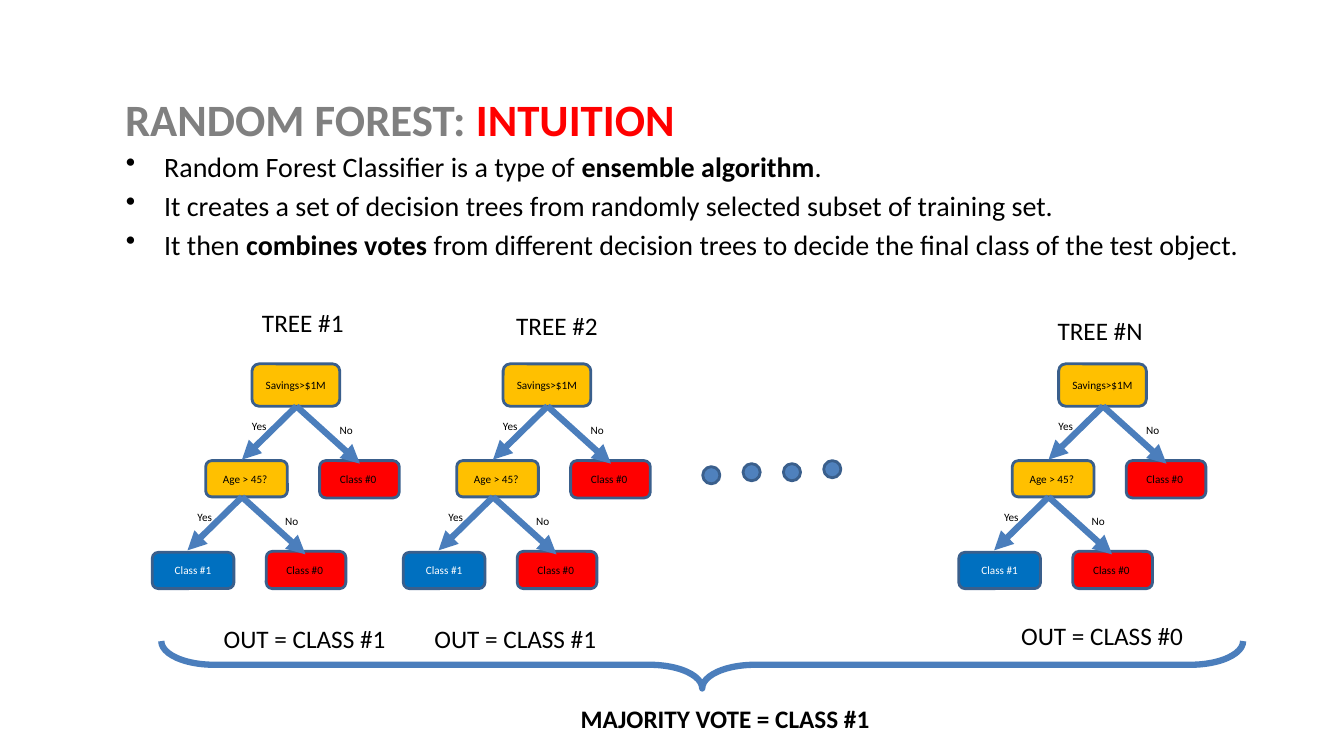
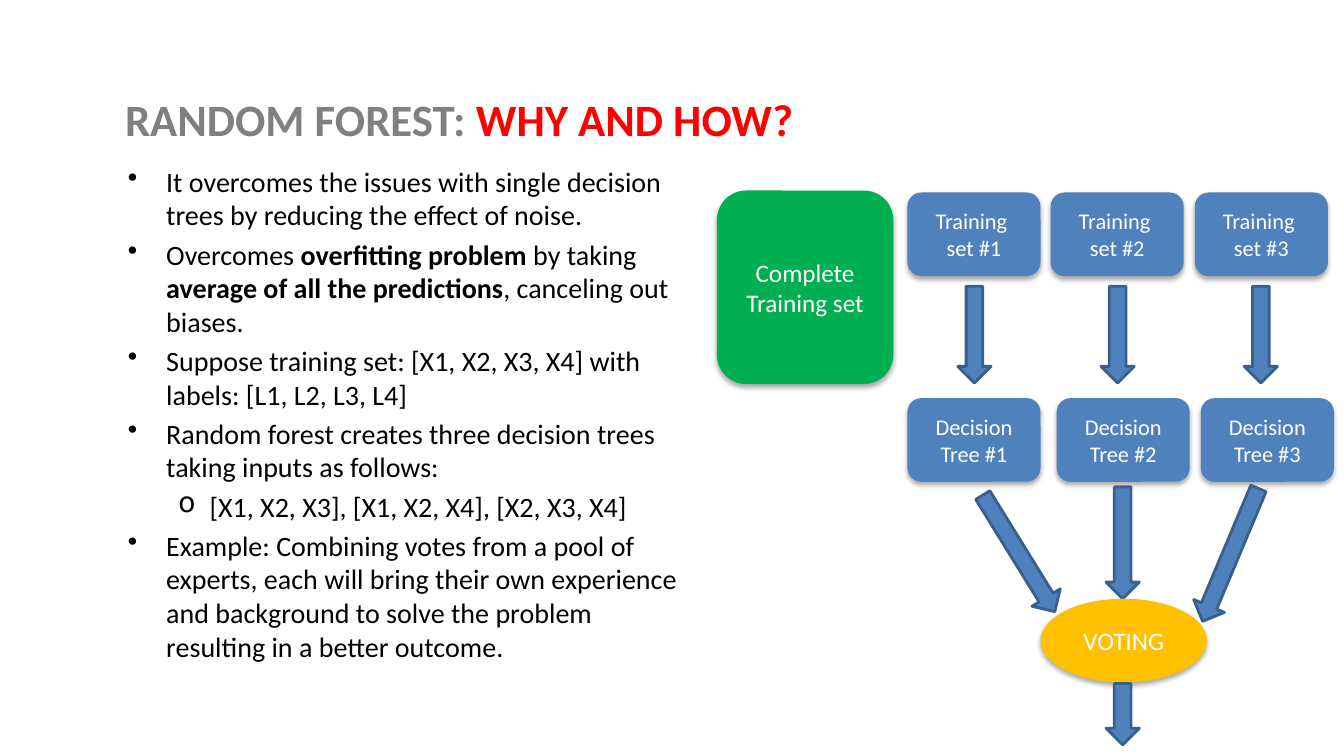
from lxml import etree
from pptx import Presentation
from pptx.dml.color import RGBColor
from pptx.enum.shapes import MSO_CONNECTOR, MSO_SHAPE as SHAPE
from pptx.enum.text import MSO_ANCHOR as ANCHOR, MSO_AUTO_SIZE as FIT, PP_ALIGN as ALIGN
from pptx.oxml.ns import qn
from pptx.util import Inches, Pt

FONT = "Calibri"
BLACK = RGBColor(0x00, 0x00, 0x00)
WHITE = RGBColor(0xFF, 0xFF, 0xFF)
GRAY = RGBColor(0x80, 0x80, 0x80)
RED = RGBColor(0xFF, 0x00, 0x00)
AMBER = RGBColor(0xFF, 0xC0, 0x00)
GREEN = RGBColor(0x00, 0xB0, 0x50)
BLUE = RGBColor(0x4F, 0x81, 0xBD)
LEAF_BLUE = RGBColor(0x00, 0x70, 0xC0)
OUTLINE = RGBColor(0x3A, 0x5F, 0x8C)
BRANCH = RGBColor(0x4B, 0x7E, 0xBC)


def box(left, top, width, height):
    """Convert a rectangle in inches to slide lengths."""
    return Inches(left), Inches(top), Inches(width), Inches(height)


def write(frame, paragraphs, size=18, color=BLACK, bold=False, accent=None,
          align=ALIGN.LEFT, spacing=None, before=None):
    """Fill a text frame; words between asterisks are bold, in the accent colour if given."""
    for number, words in enumerate(paragraphs):
        paragraph = frame.add_paragraph() if number else frame.paragraphs[0]
        paragraph.alignment = align
        paragraph.line_spacing = spacing
        paragraph.space_before = before
        for index, piece in enumerate(words.split("*")):
            if not piece:
                continue
            stressed = index % 2 == 1
            run = paragraph.add_run()
            run.text = piece
            run.font.name = FONT
            run.font.size = Pt(size)
            run.font.bold = bold or stressed
            run.font.color.rgb = accent if stressed and accent else color


def add_label(slide, words, rect, wrap=False, **style):
    """Place a caption that grows with its text."""
    frame = slide.shapes.add_textbox(*box(*rect)).text_frame
    frame.word_wrap = wrap
    frame.auto_size = FIT.SHAPE_TO_FIT_TEXT
    write(frame, [words], **style)


def add_title(slide, topic):
    """Place the shared heading with its red topic."""
    frame = slide.shapes.add_textbox(*box(1.17, 0.66, 8.34, 1.09)).text_frame
    frame.word_wrap = True
    frame.vertical_anchor = ANCHOR.MIDDLE
    frame.margin_left = frame.margin_right = Inches(0.07)
    frame.margin_top = frame.margin_bottom = Inches(0.04)
    write(frame, [f"RANDOM FOREST: *{topic}*"], size=32, color=GRAY, bold=True,
          accent=RED, spacing=0.9)


def add_bullets(slide, rect, points):
    """Place a bulleted list of level and text pairs."""
    frame = slide.shapes.add_textbox(*box(*rect)).text_frame
    frame.word_wrap = True
    write(frame, [words for _, words in points], size=20, before=Pt(4))
    for paragraph, (level, _) in zip(frame.paragraphs, points):
        indent, hanging, mark = [(0.38, 0.38, "•"), (0.81, 0.31, "o")][level]
        paragraph.level = level
        properties = paragraph._p.get_or_add_pPr()
        properties.set("marL", str(Inches(indent)))
        properties.set("indent", str(-Inches(hanging)))
        etree.SubElement(properties, qn("a:buChar"), char=mark)


def add_shadow(shape):
    """Give a shape a soft shadow below it."""
    effects = shape._element.spPr.find(qn("a:effectLst"))
    shadow = etree.SubElement(effects, qn("a:outerShdw"), blurRad=str(Pt(3.5)),
                              dist=str(Pt(2.2)), dir="5400000", rotWithShape="0")
    tint = etree.SubElement(shadow, qn("a:srgbClr"), val=str(BLACK))
    etree.SubElement(tint, qn("a:alpha"), val="32000")


def add_figure(slide, kind, rect, fill=BLUE, line=OUTLINE, width=2, words=(), **style):
    """Place a preset shape with centred text; one without a line casts a shadow."""
    shape = slide.shapes.add_shape(kind, *box(*rect))
    shape.shadow.inherit = False
    if fill is None:
        shape.fill.background()
    else:
        shape.fill.solid()
        shape.fill.fore_color.rgb = fill
    if line is None:
        shape.line.fill.background()
        add_shadow(shape)
    else:
        shape.line.color.rgb = line
        shape.line.width = Pt(width)
    shape.text_frame.word_wrap = True
    shape.text_frame.vertical_anchor = ANCHOR.MIDDLE
    write(shape.text_frame, words, align=ALIGN.CENTER, **style)
    return shape


def add_branch(slide, x, y, end_x, end_y):
    """Draw an arrow from a question to its answer."""
    branch = slide.shapes.add_connector(MSO_CONNECTOR.STRAIGHT, Inches(x), Inches(y),
                                        Inches(end_x), Inches(end_y))
    branch.line.color.rgb = BRANCH
    branch.line.width = Pt(4.5)
    etree.SubElement(branch.line._get_or_add_ln(), qn("a:tailEnd"), type="triangle")
    etree.SubElement(branch._element.spPr, qn("a:effectLst"))


def add_split(slide, x, y):
    """Draw the yes and no branches below a question."""
    add_branch(slide, x, y, x - 0.54, y + 0.53)
    add_branch(slide, x, y, x + 0.63, y + 0.57)
    for answer, dx, dy in [("No", 0.33, 0.12), ("Yes", -0.54, 0.08)]:
        add_label(slide, answer, (x + dx, y + dy, 0.37, 0.24), wrap=True, size=8)


def add_tree(slide, left):
    """Draw one small decision tree."""
    nodes = [
        ("Savings>$1M", 0.99, 3.61, 0.87, 0.42, AMBER, BLACK),
        ("Age > 45? ", 0.53, 4.57, 0.81, 0.36, AMBER, BLACK),
        ("Class #0 ", 1.66, 4.57, 0.79, 0.37, RED, BLACK),
        ("Class #1", 0, 5.48, 0.81, 0.36, LEAF_BLUE, WHITE),
        ("Class #0 ", 1.13, 5.47, 0.79, 0.37, RED, BLACK),
    ]
    for words, dx, top, width, height, fill, color in nodes:
        add_figure(slide, SHAPE.ROUNDED_RECTANGLE, (left + dx, top, width, height),
                   fill, words=[words], size=8, color=color)
    add_split(slide, left + 1.43, 4.03)
    add_split(slide, left + 0.89, 4.93)


def build_intuition(slide):
    """Show trees that vote for a class."""
    add_title(slide, "INTUITION")
    add_bullets(slide, (1.15, 1.43, 11.77, 4.74), [
        (0, "Random Forest Classifier is a type of *ensemble algorithm*. "),
        (0, "It creates a set of decision trees from randomly selected subset of "
            "training set. "),
        (0, "It then *combines votes *from different decision trees to decide the "
            "final class of the test object."),
    ])
    trees = [
        (1.51, "TREE #1", (2.5, 3, 1.02, 0.4), "OUT = CLASS #1", (2.12, 6.13, 1.83, 0.4)),
        (4, "TREE #2", (5.02, 3.03, 1.02, 0.4), "OUT = CLASS #1", (4.21, 6.13, 1.83, 0.4)),
        (9.51, "TREE #N", (10.39, 3.08, 1.05, 0.4), "OUT = CLASS #0",
         (10.03, 6.1, 1.83, 0.4)),
    ]
    for left, name, name_rect, outcome, outcome_rect in trees:
        add_tree(slide, left)
        add_label(slide, name, name_rect)
        add_label(slide, outcome, outcome_rect)
    for index, top in enumerate([4.63, 4.6, 4.6, 4.57]):
        add_figure(slide, SHAPE.OVAL, (6.97 + 0.4 * index, top, 0.17, 0.17))
    brace = add_figure(slide, SHAPE.LEFT_BRACE, (6.73, 1.23, 0.47, 10.73), fill=None,
                       line=BRANCH, width=4.5)
    brace.rotation = 270
    brace.adjustments[0] = 1.11
    add_label(slide, "MAJORITY VOTE = CLASS #1", (5.66, 6.93, 3.1, 0.4), bold=True)


def add_step(slide, rect, words, fill=BLUE, size=16, kind=SHAPE.ROUNDED_RECTANGLE):
    """Place one shadowed step of the training flow."""
    add_figure(slide, kind, rect, fill, line=None, words=words, size=size, color=WHITE)


def build_why_and_how(slide):
    """Show how training subsets lead to a vote."""
    add_title(slide, "WHY AND HOW?")
    add_bullets(slide, (1.17, 1.58, 5.81, 5.49), [
        (0, "It overcomes the issues with single decision trees by reducing the effect "
            "of noise."),
        (0, "Overcomes *overfitting problem *by taking *average of all the predictions*"
            ", canceling out biases."),
        (0, "Suppose training set: [X1, X2, X3, X4] with labels: [L1, L2, L3, L4]"),
        (0, "Random forest creates three decision trees taking inputs as follows:"),
        (1, "[X1, X2, X3], [X1, X2, X4], [X2, X3, X4]"),
        (0, "Example: Combining votes from a pool of experts, each will bring their own "
            "experience and background to solve the problem resulting in a better "
            "outcome. "),
    ])
    add_step(slide, (7.11, 1.89, 1.75, 1.92), ["Complete Training set"], GREEN, 18)
    columns = [(9, 9), (10.42, 10.48), (11.85, 11.91)]
    for number, (set_left, tree_left) in enumerate(columns, 1):
        add_step(slide, (set_left, 1.91, 1.32, 0.83), ["Training ", f"set #{number}"])
        add_step(slide, (tree_left, 3.95, 1.32, 0.83), [f"Decision Tree #{number}"])
    flow = [(9.5 + 1.42 * column, 2.84, 0.96, 0) for column in range(3)]
    flow += [(9.94, 4.81, 1.36, 328.3), (12.04, 4.79, 1.43, 22.8), (10.97, 4.83, 1.11, 0)]
    for left, top, height, turn in flow:
        add_figure(slide, SHAPE.DOWN_ARROW, (left, top, 0.33, height)).rotation = turn
    add_step(slide, (10.32, 5.94, 1.65, 0.83), ["VOTING"], AMBER, 18, SHAPE.OVAL)
    add_figure(slide, SHAPE.DOWN_ARROW, (10.97, 6.78, 0.33, 0.61))


def main():
    """Build and save the presentation."""
    deck = Presentation()
    deck.slide_width, deck.slide_height = Inches(13.33), Inches(7.5)
    for build in (build_intuition, build_why_and_how):
        build(deck.slides.add_slide(deck.slide_layouts[6]))
    deck.save("out.pptx")


main()
